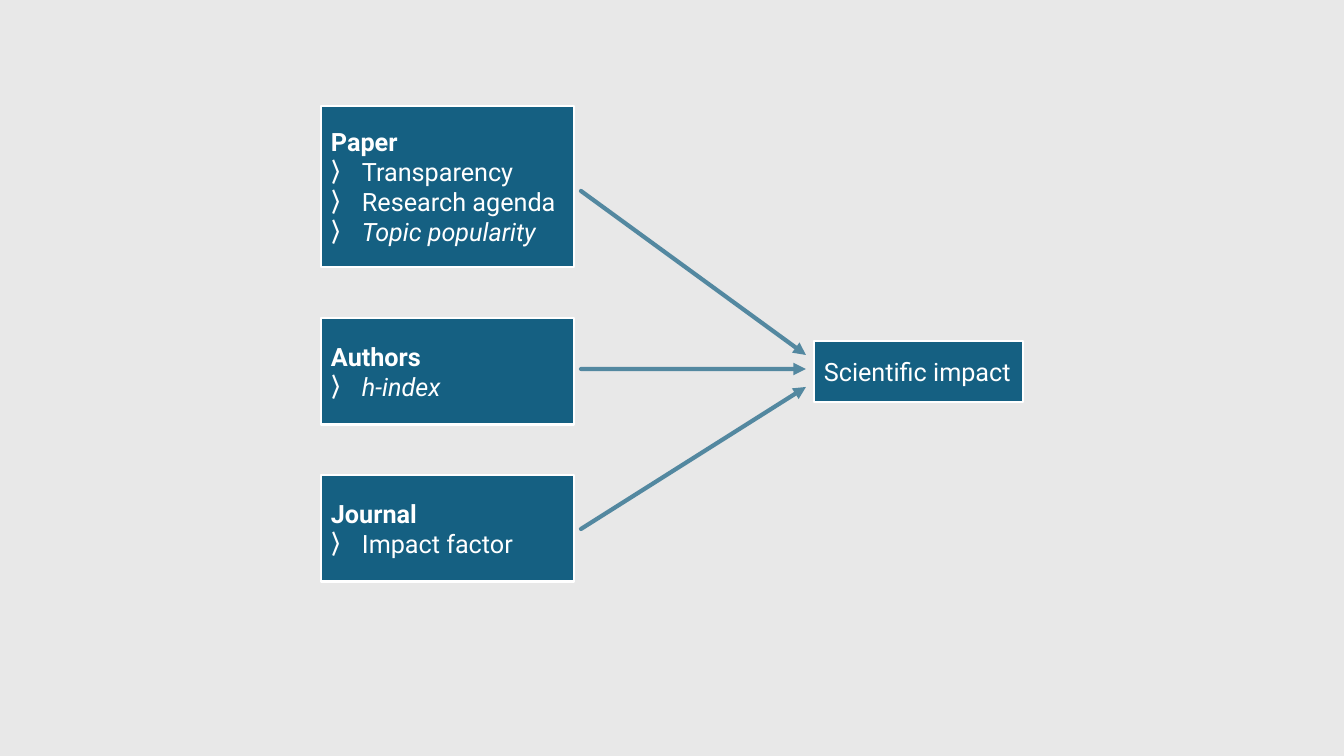
from lxml import etree
from pptx import Presentation
from pptx import util as u
from pptx.dml.color import RGBColor
from pptx.enum import shapes, text
from pptx.oxml.ns import qn

PX = 914400 / 100.8
FONT = "Roboto"
COLORS = {"back": "E8E8E8", "box": "156082", "white": "FFFFFF"}
FACTORS_LEFT, FACTORS_WIDTH = 321, 253
ARROW_START, ARROW_END = 581, 806
INDENT = 31

FACTORS = [
    (106, 161, "Paper", [("Transparency", False), ("Research agenda", False),
                         ("Topic popularity", True)]),
    (318, 107, "Authors", [("h-index", True)]),
    (475, 107, "Journal", [("Impact factor", False)]),
]
ARROWS = [(369, 369), (191, 355), (529, 387)]


def px(n):
    return u.Emu(round(n * PX))


def rgb(name):
    return RGBColor.from_string(COLORS[name])


def add_text(p, content, size=18, color="white", bold=False, italic=False):
    p.alignment = text.PP_ALIGN.LEFT
    r = p.add_run()
    r.text = content
    r.font.name = FONT
    r.font.size = u.Pt(size)
    r.font.bold = bold
    r.font.italic = italic
    r.font.color.rgb = rgb(color)


def add_bullet(p, char):
    pPr = p._p.get_or_add_pPr()
    pPr.set("marL", str(px(INDENT)))
    pPr.set("indent", str(-px(INDENT)))
    etree.SubElement(pPr, qn("a:buFont")).set("typeface", FONT)
    etree.SubElement(pPr, qn("a:buChar")).set("char", char)


def add_box(s, left, top, width, height):
    sp = s.shapes.add_shape(shapes.MSO_SHAPE.RECTANGLE,
                            px(left), px(top), px(width), px(height))
    sp.shadow.inherit = False
    sp.fill.solid()
    sp.fill.fore_color.rgb = rgb("box")
    sp.line.color.rgb = rgb("white")
    sp.line.width = u.Pt(2)
    tf = sp.text_frame
    tf.word_wrap = True
    tf.vertical_anchor = text.MSO_ANCHOR.MIDDLE
    return tf


def add_factor(s, top, height, heading, items):
    tf = add_box(s, FACTORS_LEFT, top, FACTORS_WIDTH, height)
    add_text(tf.paragraphs[0], heading, bold=True)
    for item, italic in items:
        p = tf.add_paragraph()
        add_bullet(p, "⟩")
        add_text(p, item, italic=italic)


def add_arrow(s, start_y, end_y):
    c = s.shapes.add_connector(shapes.MSO_CONNECTOR.STRAIGHT,
                               px(ARROW_START), px(start_y),
                               px(ARROW_END), px(end_y))
    c.line.color.rgb = rgb("box")
    c.line.width = u.Pt(3)
    ln = c.line._ln
    ln.set("cap", "rnd")
    color = ln.find(".//" + qn("a:srgbClr"))
    etree.SubElement(color, qn("a:alpha")).set("val", "69000")
    etree.SubElement(ln, qn("a:tailEnd")).set("type", "triangle")
    etree.SubElement(c._element.spPr, qn("a:effectLst"))


def main():
    prs = Presentation()
    prs.slide_width, prs.slide_height = px(1344), px(756)
    s = prs.slides.add_slide(prs.slide_layouts[6])
    s.background.fill.solid()
    s.background.fill.fore_color.rgb = rgb("back")
    for factor in FACTORS:
        add_factor(s, *factor)
    tf = add_box(s, 814, 341, 209, 61)
    add_text(tf.paragraphs[0], "Scientific impact")
    for arrow in ARROWS:
        add_arrow(s, *arrow)
    prs.save("out.pptx")


if __name__ == "__main__":
    main()
